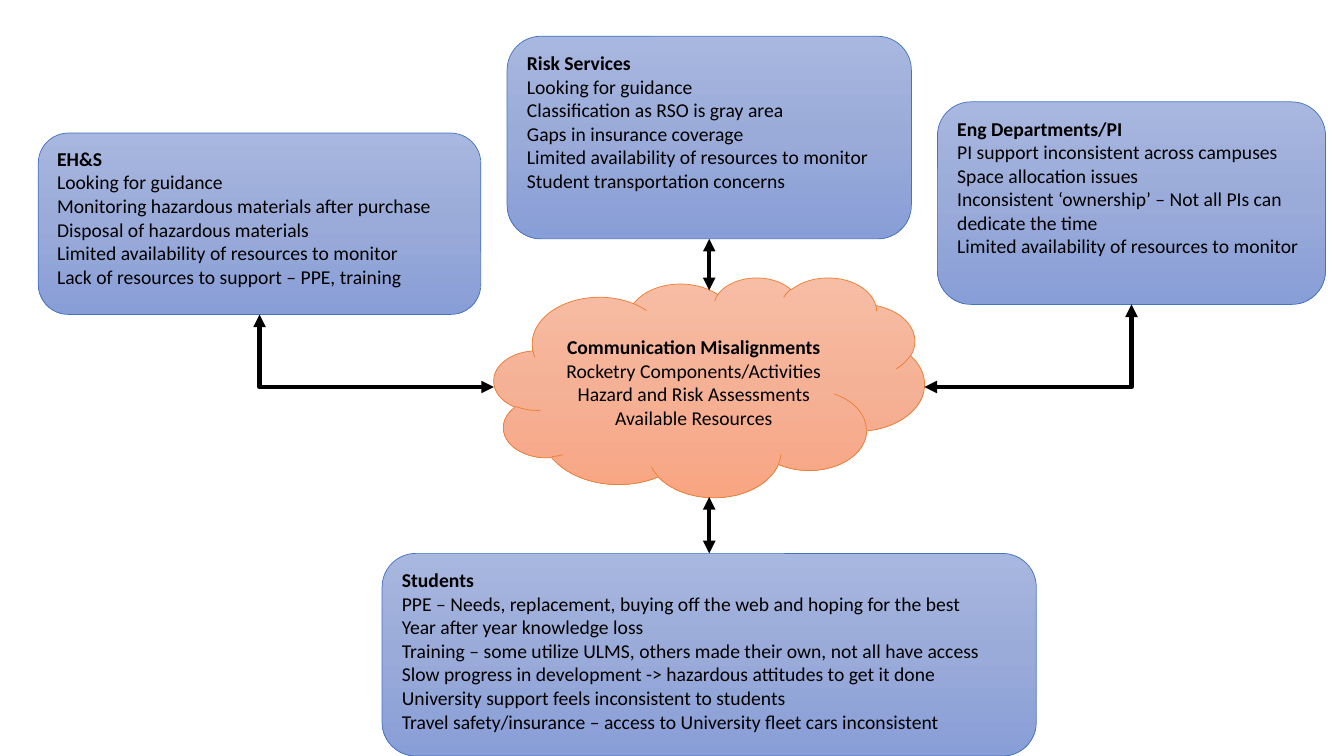
from copy import deepcopy
from dataclasses import dataclass

from pptx import Presentation
from pptx.dml.color import RGBColor
from pptx.enum.shapes import MSO_CONNECTOR, MSO_SHAPE
from pptx.enum.text import MSO_ANCHOR, PP_ALIGN
from pptx.oxml.ns import qn
from pptx.oxml.xmlchemy import OxmlElement
from pptx.shapes.autoshape import Shape
from pptx.slide import Slide
from pptx.util import Inches, Pt

ROUNDED, CLOUD = MSO_SHAPE.ROUNDED_RECTANGLE, MSO_SHAPE.CLOUD
STRAIGHT, ELBOW = MSO_CONNECTOR.STRAIGHT, MSO_CONNECTOR.ELBOW
TOP, MIDDLE = MSO_ANCHOR.TOP, MSO_ANCHOR.MIDDLE
LEFT, CENTER = PP_ALIGN.LEFT, PP_ALIGN.CENTER

SLIDE_WIDTH, SLIDE_HEIGHT = Inches(13.33), Inches(7.5)
GRID = 100  # columns and rows, so each length is a percentage of the slide
BLANK_LAYOUT = 6


@dataclass(frozen=True)
class Theme:
    font: str = "Calibri"
    text_size: float = 14
    text: str = "000000"
    group_gradient: tuple[str, ...] = ("A8B7DF", "9AABD9", "889ED7")
    group_line: str = "4472C4"
    issue_gradient: tuple[str, ...] = ("F7BDA5", "F5B196", "F8A582")
    issue_line: str = "ED7D31"
    outline_width: float = 0.5
    arrow: str = "000000"
    arrow_width: float = 3


THEME = Theme()


@dataclass(frozen=True)
class Panel:
    column: float
    row: float
    columns: float
    rows: float
    heading: str
    lines: tuple[str, ...]
    preset: MSO_SHAPE = ROUNDED
    gradient: tuple[str, ...] = THEME.group_gradient
    line: str = THEME.group_line
    anchor: MSO_ANCHOR = TOP
    alignment: PP_ALIGN = LEFT

    @property
    def center(self) -> float:
        return self.column + self.columns / 2

    @property
    def middle(self) -> float:
        return self.row + self.rows / 2

    @property
    def right(self) -> float:
        return self.column + self.columns

    @property
    def bottom(self) -> float:
        return self.row + self.rows


@dataclass(frozen=True)
class Arrow:
    kind: MSO_CONNECTOR
    start: tuple[float, float]
    end: tuple[float, float]


STUDENTS = Panel(28.43, 73.2, 48.68, 26.8, "Students", (
    "PPE – Needs, replacement, buying off the web and hoping for the best",
    "Year after year knowledge loss",
    "Training – some utilize ULMS, others made their own, not all have access",
    "Slow progress in development -> hazardous attitudes to get it done",
    "University support feels inconsistent to students",
    "Travel safety/insurance – access to University fleet cars inconsistent",
))
SAFETY = Panel(2.85, 17.6, 32.93, 24, "EH&S", (
    "Looking for guidance",
    "Monitoring hazardous materials after purchase",
    "Disposal of hazardous materials",
    "Limited availability of resources to monitor",
    "Lack of resources to support – PPE, training",
))
RISK = Panel(37.73, 4.8, 30.08, 26.8, "Risk Services", (
    "Looking for guidance",
    "Classification as RSO is gray area",
    "Gaps in insurance coverage",
    "Limited availability of resources to monitor",
    "Student transportation concerns",
))
ENGINEERING = Panel(69.75, 13.47, 28.88, 26.8, "Eng Departments/PI", (
    "PI support inconsistent across campuses",
    "Space allocation issues",
    "Inconsistent ‘ownership’ – Not all PIs can dedicate the time",
    "Limited availability of resources to monitor",
))
MISALIGNMENTS = Panel(36.75, 36.67, 32.03, 29.07, "Communication Misalignments", (
    "Rocketry Components/Activities",
    "Hazard and Risk Assessments",
    "Available Resources",
), CLOUD, THEME.issue_gradient, THEME.issue_line, MIDDLE, CENTER)
CLOUD_DIP = 1.73  # rows from the cloud's frame down to its outline

PANELS = (STUDENTS, SAFETY, RISK, ENGINEERING, MISALIGNMENTS)
ARROWS = (
    Arrow(STRAIGHT, (STUDENTS.center, STUDENTS.row), (STUDENTS.center, MISALIGNMENTS.bottom)),
    Arrow(ELBOW, (MISALIGNMENTS.column, MISALIGNMENTS.middle), (SAFETY.center, SAFETY.bottom)),
    Arrow(ELBOW, (MISALIGNMENTS.right, MISALIGNMENTS.middle),
          (ENGINEERING.center, ENGINEERING.bottom)),
    Arrow(STRAIGHT, (RISK.center, MISALIGNMENTS.row + CLOUD_DIP), (RISK.center, RISK.bottom)),
)


def across(columns: float) -> int:
    return round(SLIDE_WIDTH * columns / GRID)


def down(rows: float) -> int:
    return round(SLIDE_HEIGHT * rows / GRID)


def apply_format(target: object, values: dict[str, object]) -> None:
    for name, value in values.items():
        setattr(target, name, value)


def fill_gradient(shape: Shape, colors: tuple[str, ...]) -> None:
    """Fill from top to bottom with three evenly spaced colours."""
    shape.fill.gradient()
    shape.fill.gradient_angle = 270
    stop_list = shape._element.spPr.find(qn("a:gradFill")).find(qn("a:gsLst"))
    stop_list.insert(1, deepcopy(stop_list[0]))
    for index, (stop, color) in enumerate(zip(shape.fill.gradient_stops, colors)):
        stop.position = index / (len(colors) - 1)
        stop.color.rgb = RGBColor.from_string(color)


def draw_panel(slide: Slide, panel: Panel) -> None:
    shape = slide.shapes.add_shape(panel.preset, across(panel.column), down(panel.row),
                                   across(panel.columns), down(panel.rows))
    shape.shadow.inherit = False
    fill_gradient(shape, panel.gradient)
    shape.line.color.rgb = RGBColor.from_string(panel.line)
    shape.line.width = Pt(THEME.outline_width)
    frame = shape.text_frame
    apply_format(frame, {"word_wrap": True, "vertical_anchor": panel.anchor})
    frame.text = "\n".join((panel.heading, *panel.lines))
    for index, paragraph in enumerate(frame.paragraphs):
        paragraph.alignment = panel.alignment
        font = paragraph.runs[0].font
        apply_format(font, {"name": THEME.font, "size": Pt(THEME.text_size), "bold": index == 0})
        font.color.rgb = RGBColor.from_string(THEME.text)


def draw_arrow(slide: Slide, arrow: Arrow) -> None:
    """Draw a double-headed arrow; an elbow leaves sideways and turns once."""
    (start_column, start_row), (end_column, end_row) = arrow.start, arrow.end
    connector = slide.shapes.add_connector(arrow.kind, across(start_column), down(start_row),
                                           across(end_column), down(end_row))
    connector.line.color.rgb = RGBColor.from_string(THEME.arrow)
    connector.line.width = Pt(THEME.arrow_width)
    properties = connector._element.spPr
    if arrow.kind == ELBOW:
        properties.find(qn("a:prstGeom")).set("prst", "bentConnector2")
    for tag in ("a:headEnd", "a:tailEnd"):
        arrowhead = OxmlElement(tag)
        arrowhead.set("type", "triangle")
        properties.find(qn("a:ln")).append(arrowhead)
    properties.append(OxmlElement("a:effectLst"))


def main() -> None:
    presentation = Presentation()
    apply_format(presentation, {"slide_width": SLIDE_WIDTH, "slide_height": SLIDE_HEIGHT})
    slide = presentation.slides.add_slide(presentation.slide_layouts[BLANK_LAYOUT])
    for panel in PANELS:
        draw_panel(slide, panel)
    for arrow in ARROWS:
        draw_arrow(slide, arrow)
    presentation.save("out.pptx")


if __name__ == "__main__":
    main()
